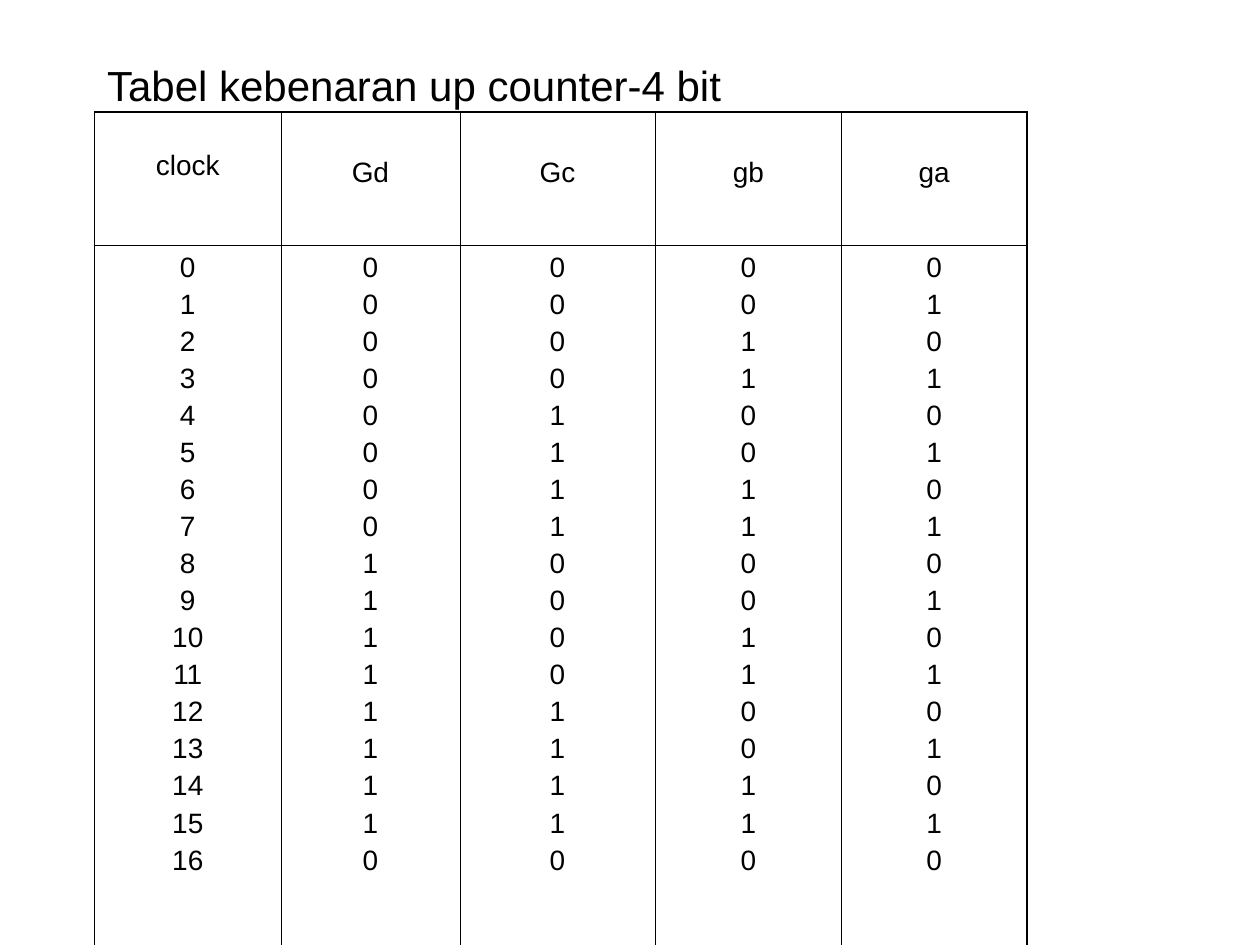
from pptx import Presentation
from pptx.dml.color import RGBColor
from pptx.enum import text
from pptx.oxml import parse_xml
from pptx.oxml.ns import nsdecls
from pptx.util import Inches, Pt

BLACK = RGBColor(0x00, 0x00, 0x00)
FONT = "Arial"
HEADERS = ["clock", "Gd", "Gc", "gb", "ga"]
COLUMN_WIDTHS = [1.48, 1.42, 1.55, 1.48, 1.47]
ROW_HEIGHTS = [1.06, 6.17]
BIT_COUNT = 4
CLOCKS = range(2 ** BIT_COUNT + 1)
OUTER_LINE, INNER_LINE = Pt(1.08), Pt(0.45)


def set_attributes(target, **values):
    for name, value in values.items():
        setattr(target, name, value)


def format_font(font, size):
    set_attributes(font, name=FONT, size=Pt(size), bold=False)
    font.color.rgb = BLACK


def add_title(slide, wording):
    title = slide.shapes.title
    set_attributes(title, left=Inches(0.75), top=Inches(0.42),
                   width=Inches(5.11), height=Inches(0.5))
    frame = title.text_frame
    frame.text = wording
    set_attributes(frame, word_wrap=False, vertical_anchor=text.MSO_ANCHOR.TOP,
                   auto_size=text.MSO_AUTO_SIZE.SHAPE_TO_FIT_TEXT)
    para = frame.paragraphs[0]
    para.alignment = text.PP_ALIGN.LEFT
    format_font(para.font, 24)


def set_borders(cell, outer_sides):
    """Draw all four borders, heavier on the outer sides of the table."""
    properties = cell._tc.get_or_add_tcPr()
    for side in "LRTB":
        width = OUTER_LINE if side in outer_sides else INNER_LINE
        properties.append(parse_xml(
            f'<a:ln{side} {nsdecls("a")} w="{width}"><a:solidFill>'
            f'<a:srgbClr val="{BLACK}"/></a:solidFill></a:ln{side}>'))


def fill_cell(cell, lines, outer_sides, margin_top=0.05):
    set_borders(cell, outer_sides)
    cell.fill.background()
    cell.margin_top = Inches(margin_top)
    cell.text = "\n".join(lines)
    for index, para in enumerate(cell.text_frame.paragraphs):
        set_attributes(para, alignment=text.PP_ALIGN.CENTER,
                       space_before=Pt(3.4 if index else 0))
        format_font(para.font, 16)


def counter_column(column):
    """Clock numbers for the first column, then one bit each, highest first."""
    if column == 0:
        return [str(clock) for clock in CLOCKS]
    return [str(clock >> (BIT_COUNT - column) & 1) for clock in CLOCKS]


def add_truth_table(slide):
    table = slide.shapes.add_table(
        len(ROW_HEIGHTS), len(HEADERS), Inches(0.75), Inches(0.89),
        Inches(sum(COLUMN_WIDTHS)), Inches(sum(ROW_HEIGHTS))).table
    set_attributes(table, first_row=False, horz_banding=False)
    for row, height in zip(table.rows, ROW_HEIGHTS):
        row.height = Inches(height)
    last = len(HEADERS) - 1
    for column, (header, width) in enumerate(zip(HEADERS, COLUMN_WIDTHS)):
        table.columns[column].width = Inches(width)
        sides = {0: "L", last: "R"}.get(column, "")
        header_margin = 0.3 if column == 0 else 0.36
        fill_cell(table.cell(0, column), [header], sides + "T", header_margin)
        fill_cell(table.cell(1, column), counter_column(column), sides + "B")


def main():
    deck = Presentation()
    set_attributes(deck, slide_width=Inches(10), slide_height=Inches(7.5))
    slide = deck.slides.add_slide(deck.slide_layouts.get_by_name("Title Only"))
    add_title(slide, "Tabel kebenaran up counter-4 bit")
    add_truth_table(slide)
    deck.save("out.pptx")


if __name__ == "__main__":
    main()
